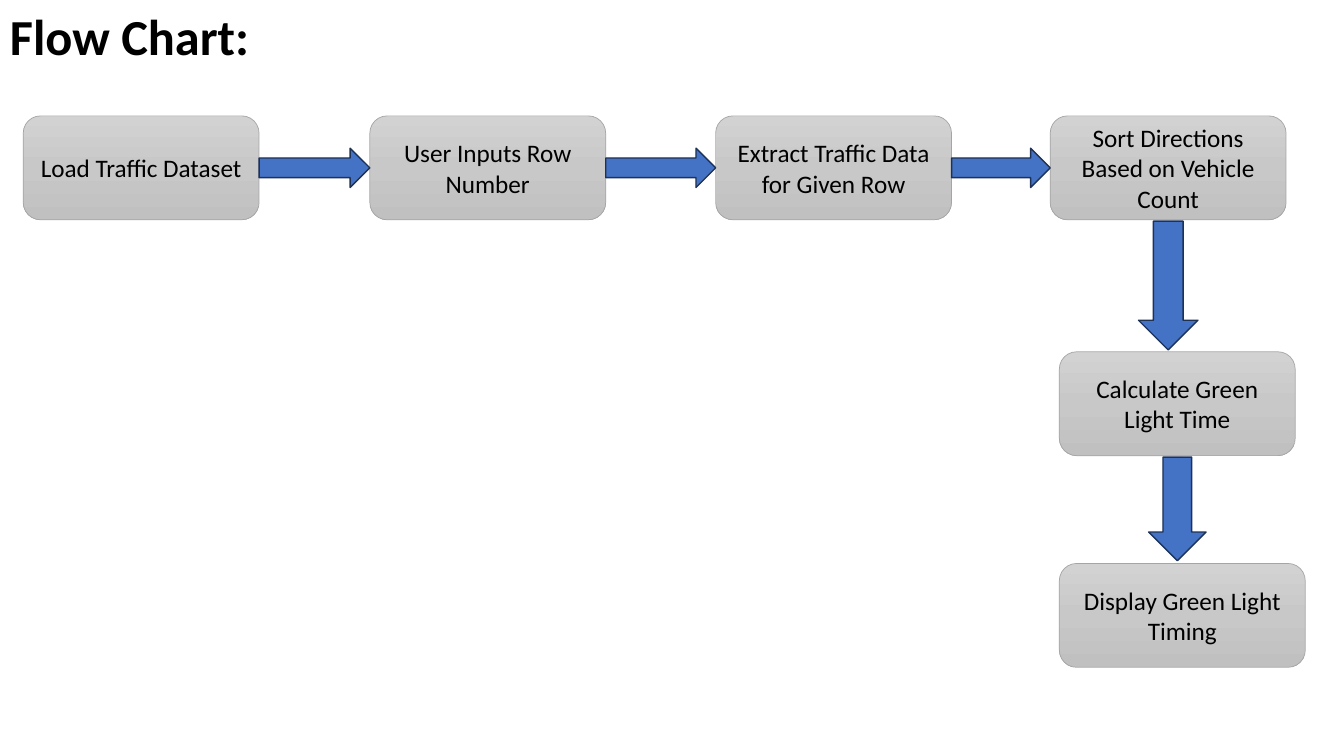
from copy import deepcopy
from dataclasses import dataclass

from pptx import Presentation
from pptx.dml.color import RGBColor
from pptx.enum.shapes import MSO_SHAPE as Preset
from pptx.enum.text import MSO_ANCHOR as Anchor, PP_ALIGN as Align
from pptx.oxml.ns import qn
from pptx.util import Pt


@dataclass(frozen=True)
class Theme:
    """Colours, font and type sizes of the slide."""
    font: str = "Calibri"
    title_size: float = 36
    step_size: float = 18
    ink: str = "000000"
    step_shades: tuple = ((0, "D2D2D2"), (0.5, "C8C8C8"), (1, "C0C0C0"))
    step_edge: str = "A5A5A5"
    arrow_fill: str = "4472C4"
    arrow_edge: str = "1E3256"


@dataclass(frozen=True)
class Box:
    """A rectangle in points."""
    left: float
    top: float
    width: float = 168.5
    height: float = 74.2

    @property
    def right(self):
        """Return the right edge."""
        return self.left + self.width

    @property
    def bottom(self):
        """Return the lower edge."""
        return self.top + self.height

    @property
    def center(self):
        """Return the middle point."""
        return self.left + self.width / 2, self.top + self.height / 2

    def lengths(self):
        """Return left, top, width and height as slide lengths."""
        return [Pt(value) for value in (self.left, self.top, self.width, self.height)]


class FlowSlide:
    """Draws the parts of a flow chart on one slide."""

    def __init__(self, slide, theme):
        """Keep the slide and its theme."""
        self.shapes = slide.shapes
        self.theme = theme

    def set_text(self, frame, wording, size, bold=False, align=Align.LEFT, anchor=Anchor.TOP):
        """Put one formatted paragraph in a text frame."""
        frame.word_wrap = True
        frame.vertical_anchor = anchor
        paragraph = frame.paragraphs[0]
        paragraph.alignment = align
        run = paragraph.add_run()
        run.text = wording
        formats = {"name": self.theme.font, "size": Pt(size), "bold": bold}
        for attribute, value in formats.items():
            setattr(run.font, attribute, value)
        run.font.color.rgb = RGBColor.from_string(self.theme.ink)

    def title(self, wording, box):
        """Add the slide heading."""
        heading = self.shapes.add_textbox(*box.lengths())
        self.set_text(heading.text_frame, wording, self.theme.title_size, bold=True)

    def outlined(self, preset, box, edge, weight):
        """Add a preset shape with an edge and no shadow."""
        shape = self.shapes.add_shape(preset, *box.lengths())
        shape.shadow.inherit = False
        shape.line.color.rgb = RGBColor.from_string(edge)
        shape.line.width = Pt(weight)
        return shape

    def step(self, wording, box):
        """Add a rounded step with a vertical gradient."""
        step = self.outlined(Preset.ROUNDED_RECTANGLE, box, self.theme.step_edge, 0.5)
        step.fill.gradient()
        step.fill.gradient_angle = 270
        first_stop = next(step.element.spPr.iter(qn("a:gs")))
        first_stop.addnext(deepcopy(first_stop))
        for stop, (position, shade) in zip(step.fill.gradient_stops, self.theme.step_shades):
            stop.position = position
            stop.color.rgb = RGBColor.from_string(shade)
        self.set_text(step.text_frame, wording, self.theme.step_size,
                      align=Align.CENTER, anchor=Anchor.MIDDLE)

    def arrow(self, center, length, thickness, rotation=0):
        """Add a block arrow around its middle point."""
        x, y = center
        box = Box(x - length / 2, y - thickness / 2, length, thickness)
        arrow = self.outlined(Preset.RIGHT_ARROW, box, self.theme.arrow_edge, 1)
        arrow.fill.solid()
        arrow.fill.fore_color.rgb = RGBColor.from_string(self.theme.arrow_fill)
        arrow.rotation = rotation

    def arrow_right(self, source, target):
        """Fill the gap between two neighbouring steps."""
        middle = (source.right + target.left) / 2, source.center[1]
        self.arrow(middle, target.left - source.right, 28.1)

    def arrow_down(self, source, length, thickness):
        """Lead downwards from just below a step."""
        middle = source.center[0], source.bottom + 1 + length / 2
        self.arrow(middle, length, thickness, rotation=90)


ROW_TOP = 82.8
COLUMN_LEFT = 756.7
ROW_STEPS = {
    "Load Traffic Dataset": Box(16.6, ROW_TOP),
    "User Inputs Row Number": Box(264.2, ROW_TOP),
    "Extract Traffic Data for Given Row": Box(511.2, ROW_TOP),
    "Sort Directions Based on Vehicle Count": Box(750.2, ROW_TOP),
}
COLUMN_STEPS = {
    "Calculate Green Light Time": Box(COLUMN_LEFT, 251.3),
    "Display Green Light Timing": Box(COLUMN_LEFT, 402.5, width=175.7),
}


def main():
    """Build and save the flow chart slide."""
    deck = Presentation()
    deck.slide_width, deck.slide_height = Pt(960), Pt(540)
    flow = FlowSlide(deck.slides.add_slide(deck.slide_layouts[6]), Theme())
    flow.title("Flow Chart:", Box(0, 0, 960, 51))
    for wording, box in (ROW_STEPS | COLUMN_STEPS).items():
        flow.step(wording, box)
    row = list(ROW_STEPS.values())
    for source, target in zip(row, row[1:]):
        flow.arrow_right(source, target)
    calculate = COLUMN_STEPS["Calculate Green Light Time"]
    flow.arrow_down(row[-1], 92, 42.5)
    flow.arrow_down(calculate, 74, 41)
    deck.save("out.pptx")


if __name__ == "__main__":
    main()
